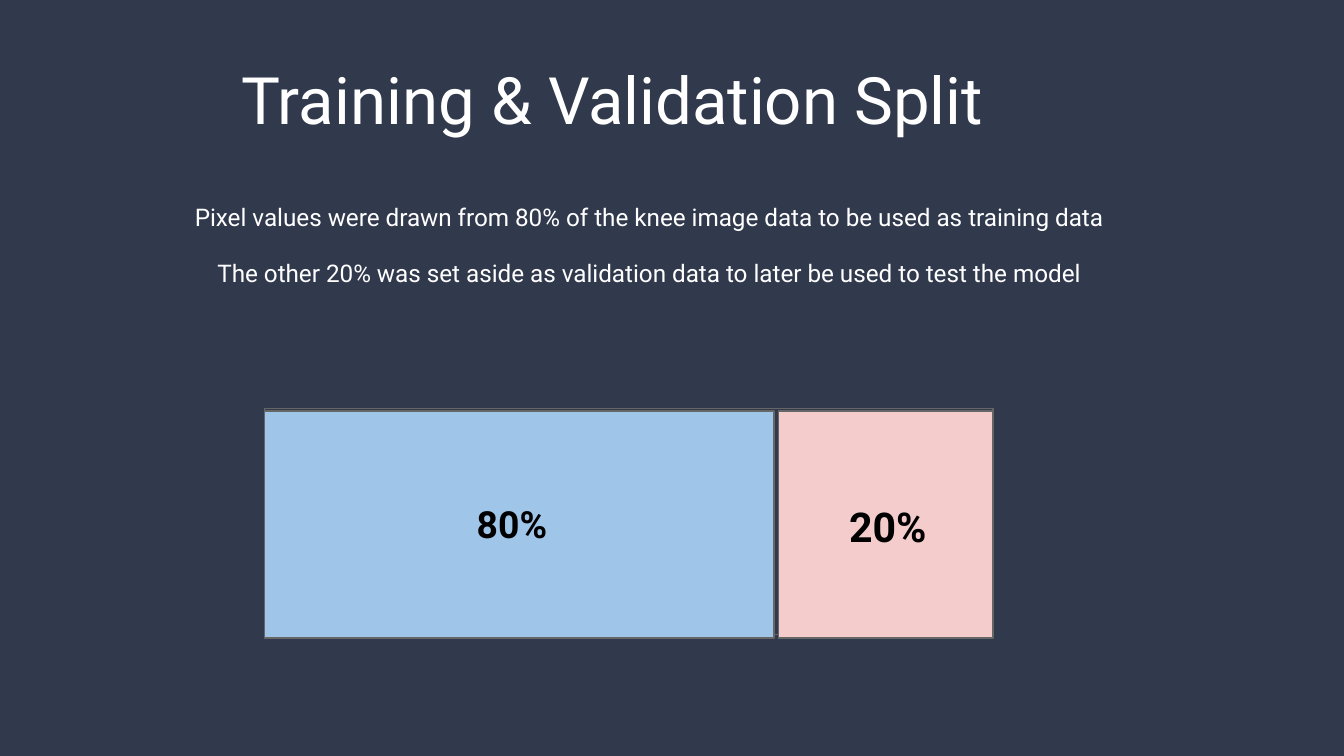
from dataclasses import dataclass

from lxml.etree import SubElement
from pptx import Presentation
from pptx.dml.color import RGBColor
from pptx.enum.shapes import MSO_CONNECTOR as Connector, MSO_SHAPE as Shape
from pptx.enum.text import MSO_ANCHOR as Anchor, PP_ALIGN as Align
from pptx.oxml.ns import qn
from pptx.util import Cm, Pt


@dataclass(frozen=True)
class Theme:
    font: str = "Roboto"
    background: str = "31394D"
    light: str = "FFFFFF"
    dark: str = "000000"
    outline: str = "666666"
    training: str = "9FC5E8"
    validation: str = "F4CCCC"
    title_size: float = 35
    body_size: float = 13
    training_size: float = 20
    validation_size: float = 22
    outline_width: float = 0.75
    inset: float = 0.25


THEME = Theme()


def rgb(value):
    return RGBColor.from_string(value)


def add_text(slide, box, lines, size, color, bold=False, align=Align.CENTER):
    frame = slide.shapes.add_textbox(*map(Cm, box)).text_frame
    frame.word_wrap = True
    frame.vertical_anchor = Anchor.TOP
    frame.margin_left = frame.margin_right = Cm(THEME.inset)
    frame.margin_top = frame.margin_bottom = Cm(THEME.inset)
    frame.text = "\n".join(lines)
    for paragraph in frame.paragraphs:
        paragraph.alignment = align
        paragraph.font.name = THEME.font
        paragraph.font.size = Pt(size)
        paragraph.font.bold = bold
        paragraph.font.color.rgb = rgb(color)
    return frame.paragraphs


def set_outline(line):
    line.color.rgb = rgb(THEME.outline)
    line.width = Pt(THEME.outline_width)


def add_block(slide, box, fill=None):
    block = slide.shapes.add_shape(Shape.RECTANGLE, *map(Cm, box))
    block.shadow.inherit = False
    if fill:
        block.fill.solid()
        block.fill.fore_color.rgb = rgb(fill)
    else:
        block.fill.background()
    set_outline(block.line)


def add_title(slide, box):
    add_text(slide, box, ["Training & Validation Split"], THEME.title_size, THEME.light)


def add_explanation(slide, box):
    lines = [
        "Pixel values were drawn from 80% of the knee image data to be used as training data",
        "The other 20% was set aside as validation data to later be used to test the model",
    ]
    paragraphs = add_text(slide, box, lines, THEME.body_size, THEME.light)
    for paragraph in paragraphs:
        paragraph.line_spacing = 1.15
    paragraphs[-1].space_before = paragraphs[-1].space_after = Pt(12)


def add_split_bar(slide, box):
    left, top, width, height = box
    training_width, validation_width = 9.63, 4.06
    block_top, block_height = top + 0.05, height + 0.02
    divider_x = left + width - validation_width

    add_block(slide, box)
    divider = slide.shapes.add_connector(
        Connector.STRAIGHT,
        *map(Cm, (divider_x, block_top, divider_x, block_top + block_height)),
    )
    set_outline(divider.line)
    SubElement(divider._element.spPr, qn("a:effectLst"))

    parts = [
        ("80%", left, training_width, THEME.training, 3.76, THEME.training_size),
        ("20%", divider_x, validation_width, THEME.validation, 1.09, THEME.validation_size),
    ]
    for _, part_left, part_width, fill, _, _ in parts:
        add_block(slide, (part_left, block_top, part_width, block_height), fill)
    for share, part_left, _, _, indent, size in parts:
        label_box = (part_left + indent, top + 1.5, 4.62, 1.7)
        add_text(slide, label_box, [share], size, THEME.dark, bold=True, align=Align.LEFT)


def main():
    presentation = Presentation()
    presentation.slide_width, presentation.slide_height = Cm(25.4), Cm(14.29)
    slide = presentation.slides.add_slide(presentation.slide_layouts[6])
    slide.background.fill.solid()
    slide.background.fill.fore_color.rgb = rgb(THEME.background)

    add_explanation(slide, (0.66, 3.5, 23.2, 2.13))
    add_split_bar(slide, (5, 7.72, 13.77, 4.27))
    add_title(slide, (1.24, 0.86, 20.68, 1.85))
    presentation.save("out.pptx")


if __name__ == "__main__":
    main()
